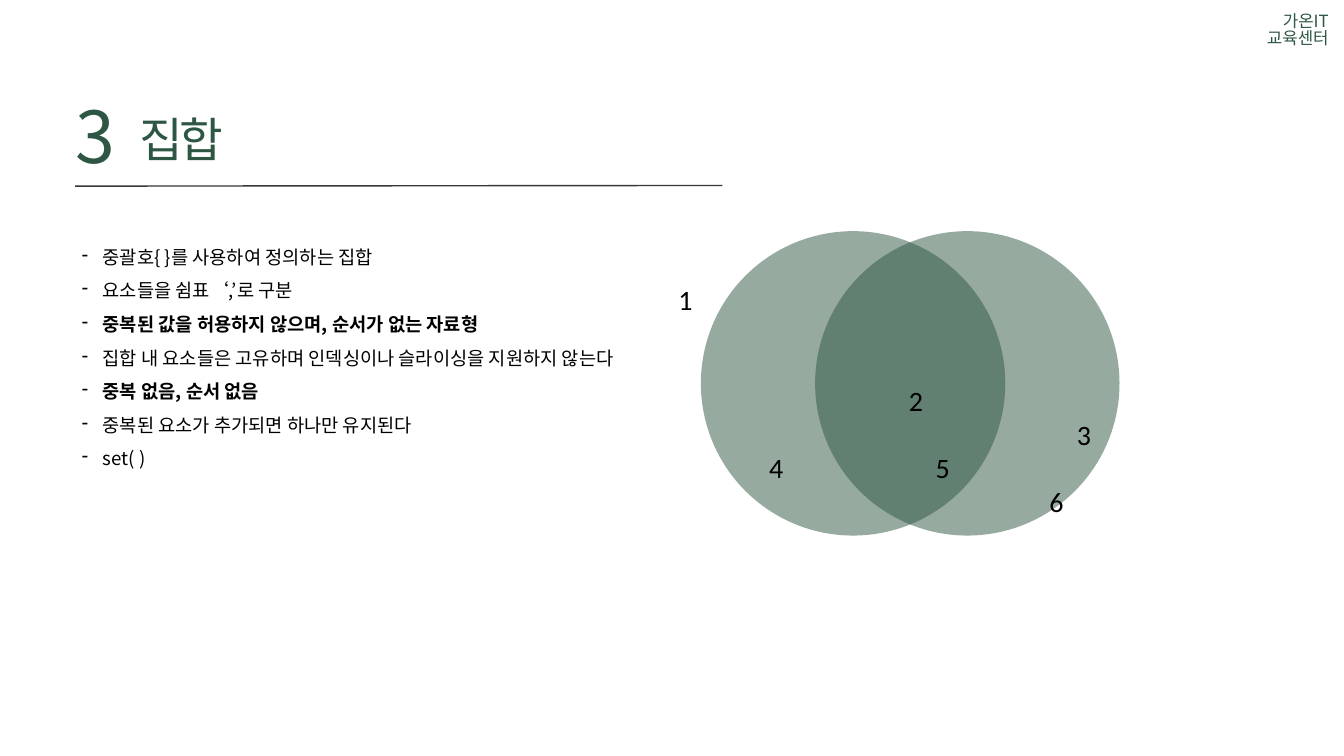
import pptx
import pptx.util
import pptx.dml.color
import pptx.enum.shapes
import pptx.enum.text
import pptx.oxml
import pptx.oxml.ns
from lxml import etree

Inches, Pt = pptx.util.Inches, pptx.util.Pt
qn = pptx.oxml.ns.qn
ALIGN = pptx.enum.text.PP_ALIGN
SHAPE = pptx.enum.shapes.MSO_SHAPE
KOREAN, GREEN, BLACK = "Noto Sans CJK KR", "2E5743", "000000"
LEFT, CIRCLE_TOP, DIAMETER = 1.12, 3.44, 4.53


def rgb(value):
    return pptx.dml.color.RGBColor.from_string(value)


def write(shape, box, lines, font=KOREAN, size=20, color=BLACK, spacing=None,
          align=ALIGN.LEFT, inset=None, tracking=None):
    """Place a text shape and fill it with (text, bold) lines in one style."""
    shape.left, shape.top, shape.width, shape.height = map(Inches, box)
    tf = shape.text_frame
    frame = {"word_wrap": True, "vertical_anchor": pptx.enum.text.MSO_ANCHOR.TOP}
    if inset is not None:
        for side in ("left", "top", "right", "bottom"):
            frame["margin_" + side] = Inches(inset)
    for name, value in frame.items():
        setattr(tf, name, value)
    for i, (text, bold) in enumerate(lines):
        p = tf.paragraphs[0] if i == 0 else tf.add_paragraph()
        p.text = text
        for name, value in {"alignment": align, "line_spacing": spacing}.items():
            setattr(p, name, value)
        for r in p.runs:
            for name, value in {"name": font, "size": Pt(size), "bold": bold}.items():
                setattr(r.font, name, value)
            r.font.color.rgb = rgb(color)
            rPr = r.font._element
            etree.SubElement(rPr, qn("a:ea")).set("typeface", font)
            if tracking:
                rPr.set("spc", str(round(tracking * 100)))
    return tf


prs = pptx.Presentation()
prs.slide_width, prs.slide_height = Inches(20), Inches(11.25)
s = prs.slides.add_slide(prs.slide_layouts[5])

# Header: centre name, section number, title and rule
write(s.shapes.add_textbox(0, 0, 0, 0), (17.95, 0.15, 1.92, 0.4),
      [("가온IT\v교육센터", False)], size=18, color=GREEN, align=ALIGN.RIGHT, spacing=0.86)
write(s.shapes.title, (2.07, 1.5, 5.98, 0.92), [("집합", False)],
      size=50.8, color=GREEN, spacing=Pt(71.1), inset=0, tracking=-3.4)
write(s.shapes.add_textbox(0, 0, 0, 0), (LEFT, 1.16, 0.79, 1.38), [("3", False)],
      size=76.8, color=GREEN, spacing=Pt(107.5), inset=0, tracking=-5.1)
rule = s.shapes.add_connector(pptx.enum.shapes.MSO_CONNECTOR.STRAIGHT,
                              Inches(LEFT), Inches(2.77), Inches(10.75), Inches(2.76))
rule.line.color.rgb = rgb("373737")
rule.line.width = Pt(1.5)
etree.SubElement(rule._element.spPr, qn("a:effectLst"))

# Dashed list
points = [
    ("중괄호{ }를 사용하여 정의하는 집합", False),
    ("요소들을 쉼표‘,’로 구분", False),
    ("중복된 값을 허용하지 않으며, 순서가 없는 자료형", True),
    ("집합 내 요소들은 고유하며 인덱싱이나 슬라이싱을 지원하지 않는다", False),
    ("중복 없음, 순서 없음", True),
    ("중복된 요소가 추가되면 하나만 유지된다", False),
    ("set( )", False),
]
tf = write(s.shapes.add_textbox(0, 0, 0, 0), (LEFT, 3.44, 12.33, 3.58), points, spacing=1.5)
for p in tf.paragraphs:
    pPr = p._p.get_or_add_pPr()
    pPr.set("marL", str(Inches(0.31)))
    pPr.set("indent", str(-Inches(0.31)))
    etree.SubElement(pPr, qn("a:buChar")).set("char", "-")

# Venn diagram: two translucent circles
for left in (10.43, 12.13):
    sp = s.shapes.add_shape(SHAPE.OVAL, Inches(left), Inches(CIRCLE_TOP),
                            Inches(DIAMETER), Inches(DIAMETER))
    sp.shadow.inherit = False
    sp.line.fill.background()
    sp.fill.solid()
    sp.fill.fore_color.rgb = rgb(GREEN)
    color = sp._element.spPr.find(qn("a:solidFill"))[0]
    etree.SubElement(color, qn("a:alpha")).set("val", "50000")

# Set members, as (label, centre x, row)
ROW = 0.5
members = [("1", 10.2, 0), ("2", 13.63, 3), ("3", 16.13, 4),
           ("4", 11.55, 5), ("5", 14.03, 5), ("6", 15.72, 6)]
for label, x, row in members:
    write(s.shapes.add_textbox(0, 0, 0, 0), (x - 0.25, 4.21 + row * ROW, 0.5, ROW),
          [(label, False)], font="Calibri", size=30, align=ALIGN.CENTER, inset=0)

prs.save("out.pptx")
